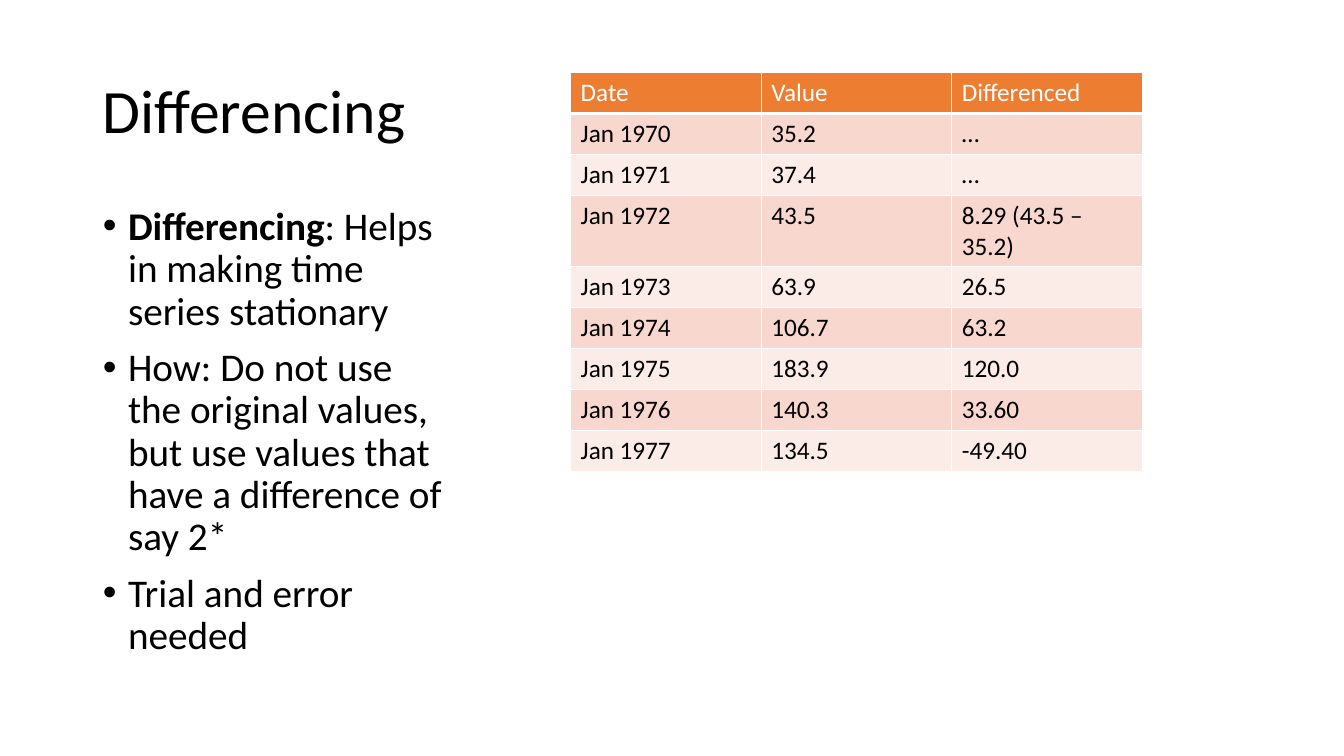
from dataclasses import dataclass

from lxml import etree
from pptx import Presentation
from pptx import util as u
from pptx.dml.color import RGBColor
from pptx.enum import text
from pptx.oxml.ns import qn


@dataclass(frozen=True)
class Theme:
    font: str = "Calibri"
    ink: str = "000000"
    white: str = "FFFFFF"
    accent: str = "ED7D31"
    bands: tuple = ("F8D7CE", "FCECE8")
    title: int = 44
    body: int = 28
    table: int = 18


theme = Theme()


def style(p, size, color):
    for r in p.runs:
        r.font.name = theme.font
        r.font.size = u.Pt(size)
        r.font.bold = False
        r.font.color.rgb = RGBColor.from_string(color)


def add_border(cell, side, width):
    ln = etree.SubElement(cell._tc.get_or_add_tcPr(), qn(f"a:ln{side}"), w=str(u.Pt(width)))
    fill = etree.SubElement(ln, qn("a:solidFill"))
    etree.SubElement(fill, qn("a:srgbClr"), val=theme.white)


prs = Presentation()
prs.slide_width = u.Inches(13.33)
prs.slide_height = u.Inches(7.5)
s = prs.slides.add_slide(prs.slide_layouts[1])
title, body = s.placeholders

title.left, title.top, title.width, title.height = map(u.Inches, (0.92, 0.4, 11.5, 1.45))
tf = title.text_frame
tf.text = "Differencing"
tf.auto_size = text.MSO_AUTO_SIZE.NONE
tf.vertical_anchor = text.MSO_ANCHOR.MIDDLE
p = tf.paragraphs[0]
p.alignment = text.PP_ALIGN.LEFT
p.line_spacing = 0.9
style(p, theme.title, theme.ink)

bullets = [
    ("Differencing", ": Helps in making time series stationary"),
    ("", "How: Do not use the original values, but use values that have a difference of say 2*"),
    ("", "Trial and error needed"),
]
body.left, body.top, body.width, body.height = map(u.Inches, (0.92, 2, 3.6, 4.76))
tf = body.text_frame
tf.auto_size = text.MSO_AUTO_SIZE.NONE
for i, (term, rest) in enumerate(bullets):
    p = tf.add_paragraph() if i else tf.paragraphs[0]
    for part in filter(None, (term, rest)):
        p.add_run().text = part
    p.line_spacing = 0.9
    p.space_before = u.Pt(10)
    style(p, theme.body, theme.ink)
    p.runs[0].font.bold = bool(term)
    pPr = p._p.get_or_add_pPr()
    pPr.set("marL", str(u.Inches(0.25)))
    pPr.set("indent", str(-u.Inches(0.25)))
    etree.SubElement(pPr, qn("a:buFont"), typeface="Arial")
    etree.SubElement(pPr, qn("a:buChar"), char="•")

rows = [
    ("Date", "Value", "Differenced"),
    ("Jan 1970", "35.2", "…"),
    ("Jan 1971", "37.4", "…"),
    ("Jan 1972", "43.5", "8.29 (43.5 – 35.2)"),
    ("Jan 1973", "63.9", "26.5"),
    ("Jan 1974", "106.7", "63.2"),
    ("Jan 1975", "183.9", "120.0"),
    ("Jan 1976", "140.3", "33.60"),
    ("Jan 1977", "134.5", "-49.40"),
]
row_height = 0.405
table = s.shapes.add_table(
    len(rows), 3, u.Inches(5.66), u.Inches(0.72), u.Inches(5.67), u.Inches(row_height * len(rows))
).table
for i, values in enumerate(rows):
    header = i == 0
    for j, value in enumerate(values):
        cell = table.cell(i, j)
        cell.text = value
        style(cell.text_frame.paragraphs[0], theme.table, theme.white if header else theme.ink)
        for side in "LRTB":
            add_border(cell, side, 3 if header and side == "B" else 1)
        cell.fill.solid()
        cell.fill.fore_color.rgb = RGBColor.from_string(
            theme.accent if header else theme.bands[(i - 1) % 2]
        )

prs.save("out.pptx")
